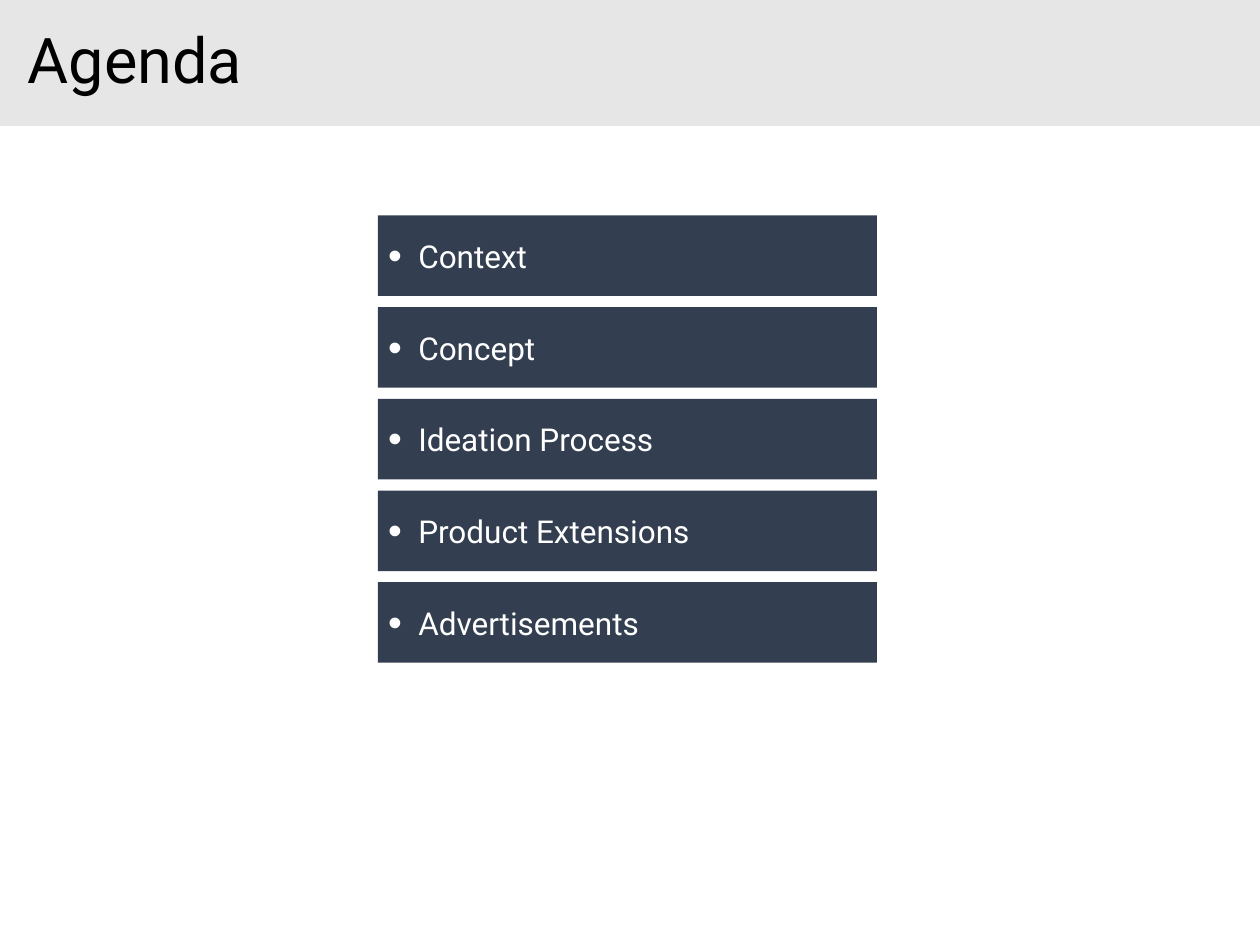
from lxml import etree
from pptx import Presentation
from pptx.dml.color import RGBColor
from pptx.enum.shapes import MSO_SHAPE
from pptx.enum.text import MSO_ANCHOR, PP_ALIGN
from pptx.oxml.ns import qn
from pptx.util import Inches, Pt

RECT = MSO_SHAPE.RECTANGLE
MIDDLE = MSO_ANCHOR.MIDDLE
LEFT = PP_ALIGN.LEFT

NAVY = RGBColor(0x33, 0x3F, 0x50)
GREY = RGBColor(0xE7, 0xE6, 0xE6)
WHITE = RGBColor(0xFF, 0xFF, 0xFF)
BLACK = RGBColor(0, 0, 0)
FONT = "Roboto"

WIDTH, HEIGHT = 10, 7.5
TOPICS = ["Context", "Concept", "Ideation Process",
          "Product Extensions", "Advertisements"]


def add_bullet(para, indent):
    """Give a paragraph a hanging white bullet."""
    props = para._p.get_or_add_pPr()
    props.set("marL", str(Inches(indent)))
    props.set("indent", str(-Inches(indent)))
    color = etree.SubElement(props, qn("a:buClr"))
    etree.SubElement(color, qn("a:srgbClr"), val=str(WHITE))
    etree.SubElement(props, qn("a:buSzPct"), val="125000")
    etree.SubElement(props, qn("a:buFont"), typeface="Arial")
    etree.SubElement(props, qn("a:buChar"), char="•")


def add_bar(slide, box, text, fill, color, size, insets):
    """Draw a filled bar with left-aligned text; return its paragraph."""
    bar = slide.shapes.add_shape(RECT, *(Inches(v) for v in box))
    bar.shadow.inherit = False
    bar.fill.solid()
    bar.fill.fore_color.rgb = fill
    bar.line.fill.background()

    frame = bar.text_frame
    frame.word_wrap = True
    frame.vertical_anchor = MIDDLE
    frame.margin_left, frame.margin_right = (Inches(v) for v in insets)
    para = frame.paragraphs[0]
    para.text = text
    para.alignment = LEFT
    font = para.runs[0].font
    font.name, font.size, font.color.rgb = FONT, Pt(size), color
    return para


def add_header(slide, box, title):
    para = add_bar(slide, box, title, GREY, BLACK, 36, (0.22, 0.1))
    para.line_spacing = 0.9


def add_agenda(slide, box, topics):
    """Spread equal bars evenly over the height of the box."""
    left, top, width, height = box
    tall = height * 0.18
    step = (height - tall) / (len(topics) - 1)
    for row, topic in enumerate(topics):
        place = (left, top + row * step, width, tall)
        para = add_bar(slide, place, topic, NAVY, WHITE, 18, (0.08, 0))
        add_bullet(para, 0.24)


def main():
    deck = Presentation()
    deck.slide_width, deck.slide_height = Inches(WIDTH), Inches(HEIGHT)
    slide = deck.slides.add_slide(deck.slide_layouts[6])
    add_agenda(slide, (3, 1.71, 3.96, 3.55), TOPICS)
    add_header(slide, (0, 0, WIDTH, 1), "Agenda")
    deck.save("out.pptx")


if __name__ == "__main__":
    main()
